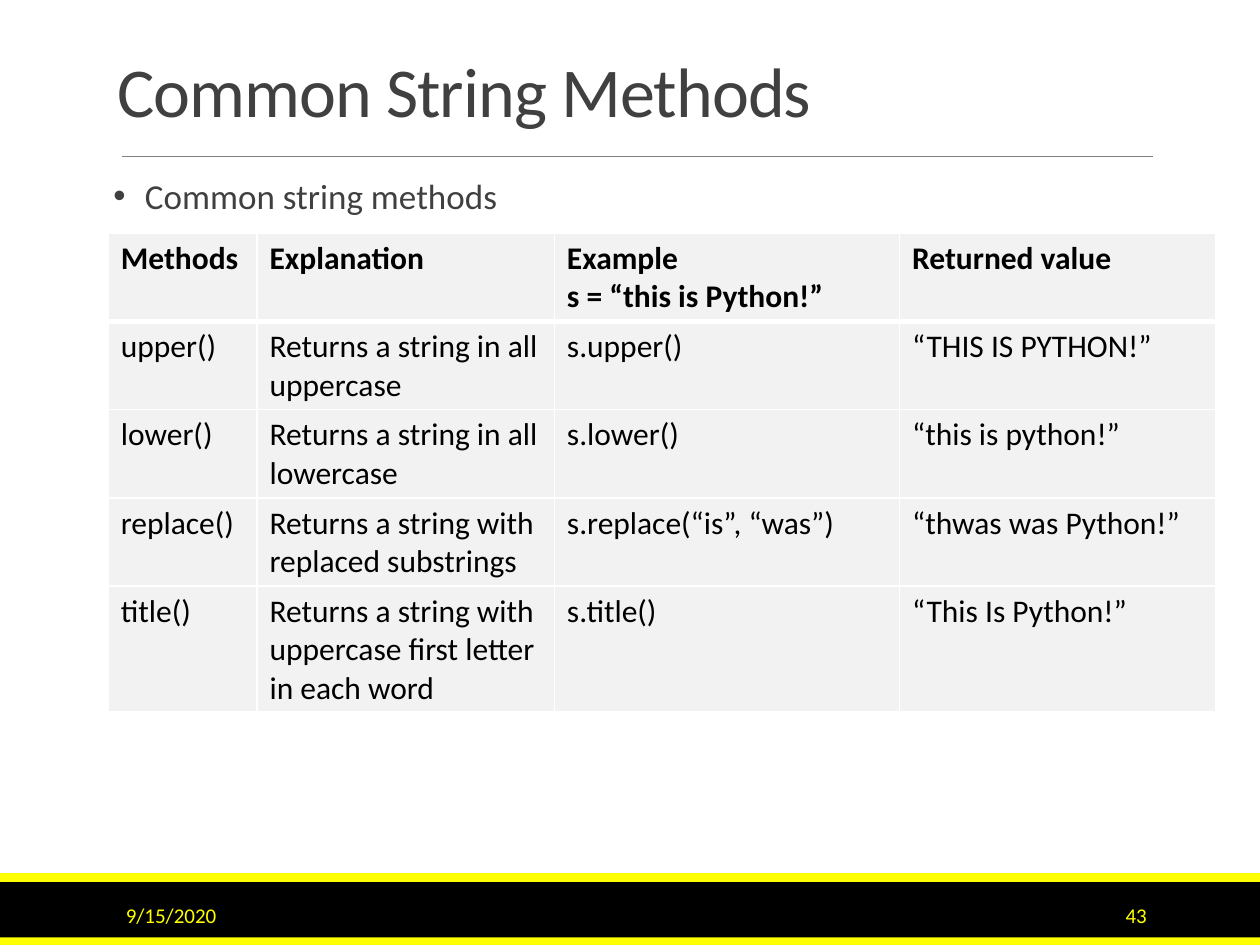
from pptx import Presentation
from pptx.dml.color import RGBColor
from pptx.enum import shapes, text
from pptx.oxml import parse_xml
from pptx.oxml.ns import nsdecls, qn
from pptx.util import Inches, Pt

BLACK = RGBColor(0x00, 0x00, 0x00)
YELLOW = RGBColor(0xFF, 0xFF, 0x00)
GRAY = RGBColor(0x80, 0x80, 0x80)
DARK_GRAY = RGBColor(0x40, 0x40, 0x40)
CELL_GRAY = RGBColor(0xF2, 0xF2, 0xF2)
WHITE = RGBColor(0xFF, 0xFF, 0xFF)
FONT = "Calibri"

TITLE = "Common String Methods"
BULLET = "Common string methods"
ROWS = [
    ("Methods", "Explanation", "Example\ns = “this is Python!”", "Returned value"),
    ("upper()", "Returns a string in all uppercase", "s.upper()", "“THIS IS PYTHON!”"),
    ("lower()", "Returns a string in all lowercase", "s.lower()", "“this is python!”"),
    ("replace()", "Returns a string with replaced substrings",
     "s.replace(“is”, “was”)", "“thwas was Python!”"),
    ("title()", "Returns a string with uppercase first letter in each word",
     "s.title()", "“This Is Python!”"),
]
COLUMN_WIDTHS = (1.18, 2.36, 2.74, 2.51)
ROW_HEIGHT = 0.41
BANDS = [(7, 0.5, BLACK), (6.93, 0.07, YELLOW), (7.44, 0.07, YELLOW)]
FOOTERS = [
    ("9/15/2020", 0.9, 2.03, text.PP_ALIGN.LEFT),
    ("43", 8.12, 1.08, text.PP_ALIGN.RIGHT),
]


def place(shape, left, top, width, height):
    shape.left, shape.top = Inches(left), Inches(top)
    shape.width, shape.height = Inches(width), Inches(height)


def format_text(frame, size, color, bold=False):
    for para in frame.paragraphs:
        for span in para.runs:
            span.font.name = FONT
            span.font.size = Pt(size)
            span.font.bold = bold
            span.font.color.rgb = color


def add_band(page, top, height, color):
    band = page.shapes.add_shape(
        shapes.MSO_SHAPE.RECTANGLE, 0, Inches(top), Inches(10), Inches(height))
    band.shadow.inherit = False
    band.fill.solid()
    band.fill.fore_color.rgb = color
    band.line.fill.background()


def add_rule(page):
    rule = page.shapes.add_connector(
        shapes.MSO_CONNECTOR.STRAIGHT,
        Inches(0.97), Inches(1.24), Inches(9.15), Inches(1.24))
    rule.line.color.rgb = GRAY
    rule.line.width = Pt(0.5)
    rule._element.spPr.append(parse_xml(f"<a:effectLst {nsdecls('a')}/>"))


def fill_title(page):
    title = page.shapes.title
    place(title, 0.83, 0.31, 8.32, 0.79)
    frame = title.text_frame
    frame.text = TITLE
    frame.auto_size = text.MSO_AUTO_SIZE.NONE
    frame.vertical_anchor = text.MSO_ANCHOR.BOTTOM
    para = frame.paragraphs[0]
    para.alignment = text.PP_ALIGN.LEFT
    para.line_spacing = 0.85
    format_text(frame, 40, DARK_GRAY)
    para.runs[0].font._element.set("spc", "-50")


def fill_body(page):
    body = page.placeholders[1]
    place(body, 0.9, 1.37, 8.25, 5.05)
    frame = body.text_frame
    frame.text = BULLET
    frame.auto_size = text.MSO_AUTO_SIZE.NONE
    frame.margin_left = frame.margin_right = 0
    para = frame.paragraphs[0]
    para.line_spacing = 0.9
    para.space_before, para.space_after = Pt(12), Pt(2)
    properties = para._p.get_or_add_pPr()
    properties.set("marL", str(Inches(0.25)))
    properties.set("indent", str(-Inches(0.25)))
    properties.append(parse_xml(f'<a:buChar {nsdecls("a")} char="•"/>'))
    format_text(frame, 20, DARK_GRAY)


def add_footer(page, label, left, width, alignment):
    box = page.shapes.add_textbox(
        Inches(left), Inches(7.06), Inches(width), Inches(0.4))
    frame = box.text_frame
    frame.word_wrap = True
    frame.vertical_anchor = text.MSO_ANCHOR.MIDDLE
    frame.text = label
    frame.paragraphs[0].alignment = alignment
    format_text(frame, 12, YELLOW)


def set_borders(cell, widths):
    """Draw white borders; widths maps each side (L, R, T, B) to points."""
    properties = cell._tc.get_or_add_tcPr()
    for position, side in enumerate("LRTB"):
        properties.insert(position, parse_xml(
            f'<a:ln{side} {nsdecls("a")} w="{Pt(widths[side])}"><a:solidFill>'
            f'<a:srgbClr val="{WHITE}"/></a:solidFill></a:ln{side}>'))


def add_methods_table(page):
    holder = page.shapes.add_table(
        len(ROWS), len(COLUMN_WIDTHS), Inches(0.86), Inches(1.85),
        Inches(sum(COLUMN_WIDTHS)), Inches(ROW_HEIGHT * len(ROWS)))
    table = holder.table
    for column, width in zip(table.columns, COLUMN_WIDTHS):
        column.width = Inches(width)
    for r, values in enumerate(ROWS):
        for c, value in enumerate(values):
            cell = table.cell(r, c)
            cell.text_frame.text = value
            cell.fill.solid()
            cell.fill.fore_color.rgb = CELL_GRAY
            format_text(cell.text_frame, 18, BLACK, bold=r == 0)
            set_borders(cell, {"L": 1, "R": 1,
                               "T": 3 if r == 1 else 1,
                               "B": 3 if r == 0 else 1})


def main():
    deck = Presentation()
    deck.slide_width, deck.slide_height = Inches(10), Inches(7.5)
    page = deck.slides.add_slide(deck.slide_layouts[1])
    for band in BANDS:
        add_band(page, *band)
    add_rule(page)
    fill_title(page)
    fill_body(page)
    for footer in FOOTERS:
        add_footer(page, *footer)
    add_methods_table(page)
    deck.save("out.pptx")


if __name__ == "__main__":
    main()
